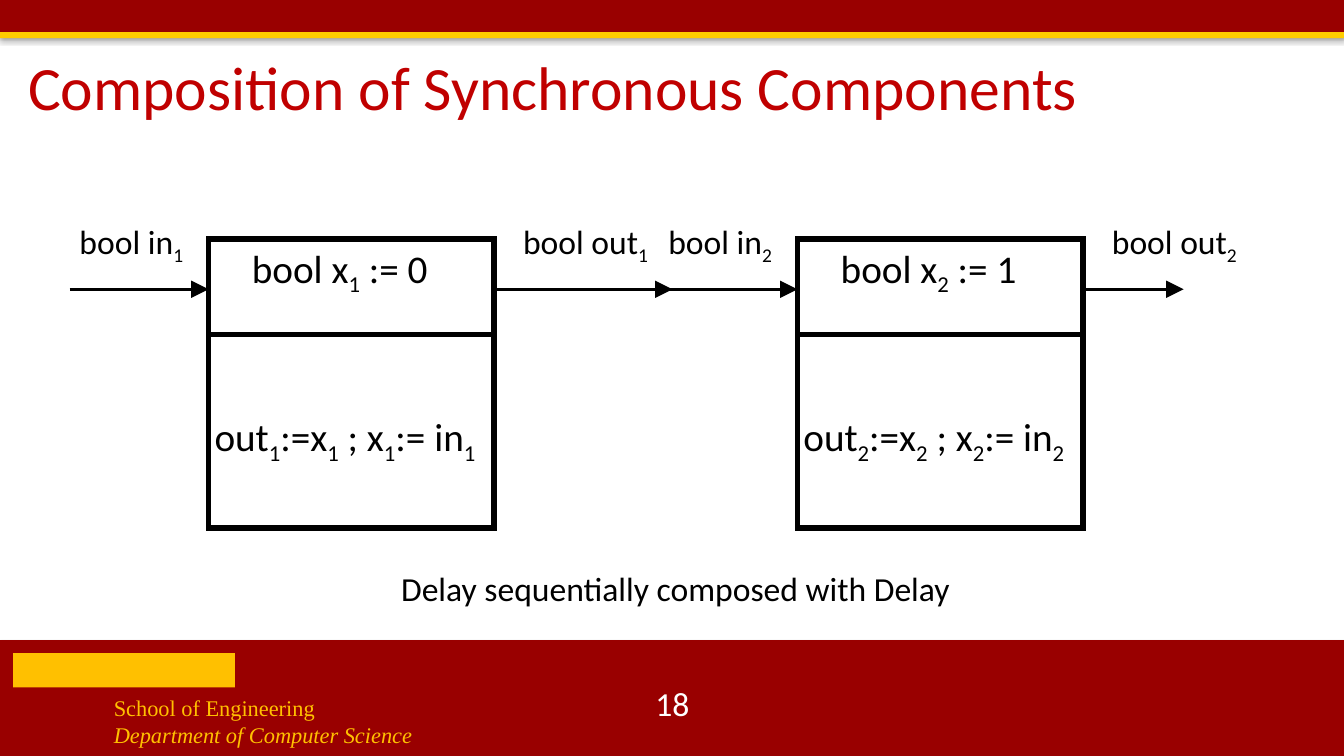
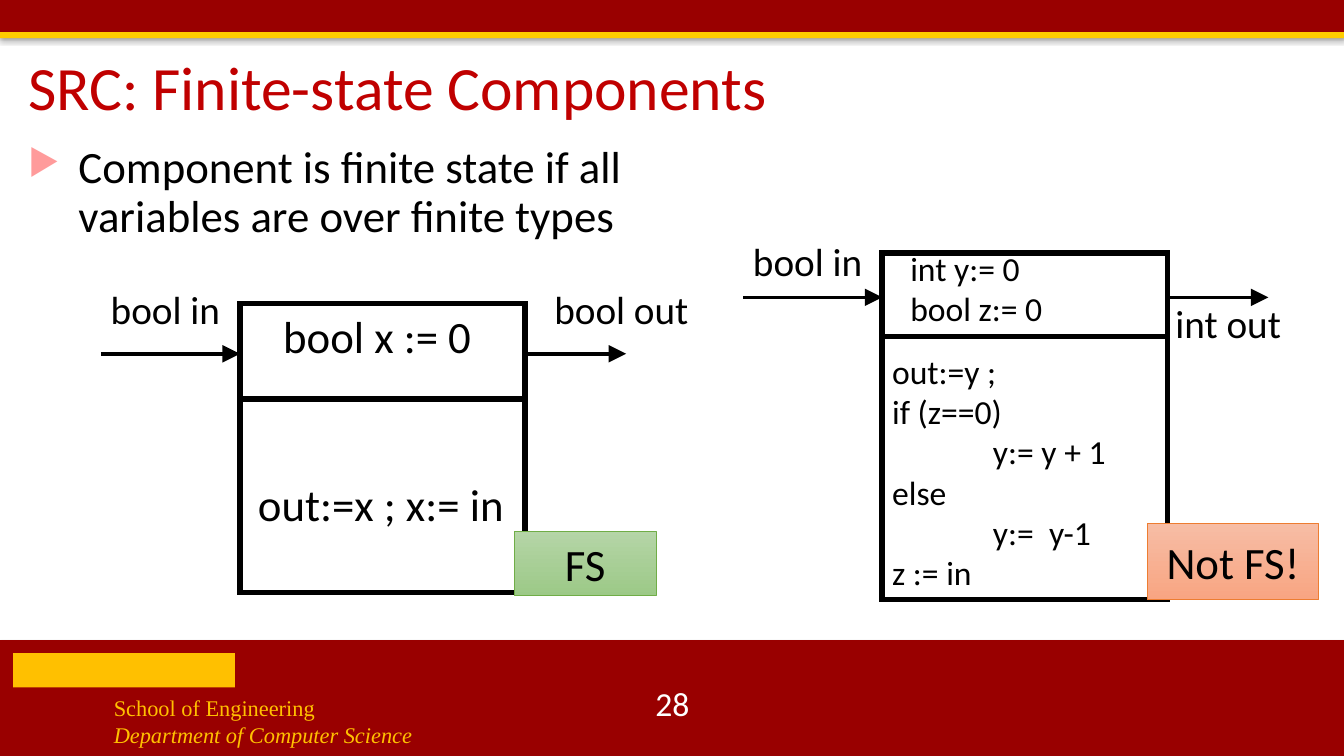
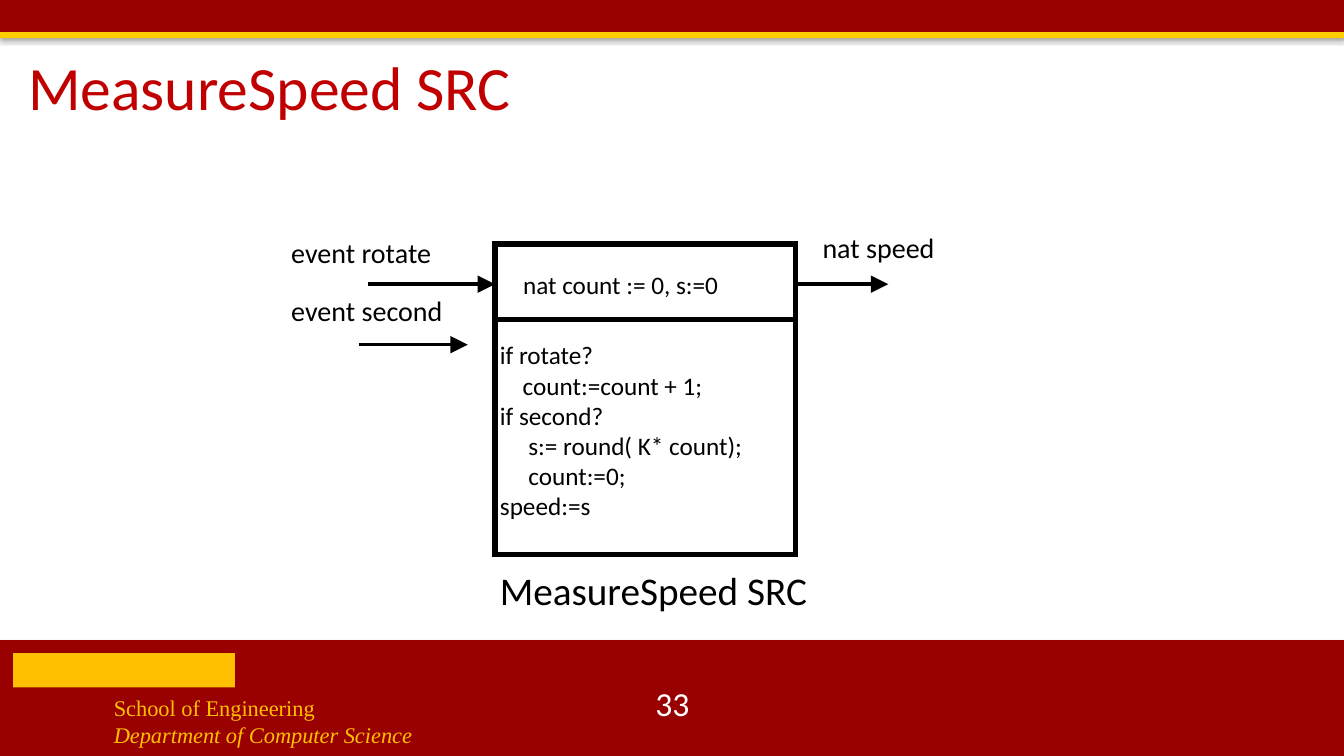
from lxml.etree import SubElement
from pptx import Presentation
from pptx.dml.color import RGBColor
from pptx.enum.shapes import MSO_CONNECTOR as Connector, MSO_SHAPE as Preset
from pptx.enum.text import MSO_ANCHOR as Anchor, MSO_AUTO_SIZE as AutoSize, PP_ALIGN as Align
from pptx.oxml.ns import qn
from pptx.util import Inches, Pt

CARDINAL = RGBColor(0x99, 0x00, 0x00)
GOLD = RGBColor(0xFF, 0xCC, 0x00)
FOOTER_GOLD = RGBColor(0xFF, 0xC0, 0x00)
TITLE_RED = RGBColor(0xC0, 0x00, 0x00)
BULLET_PINK = RGBColor(0xFF, 0x9B, 0x9B)
BLACK = RGBColor(0x00, 0x00, 0x00)
WHITE = RGBColor(0xFF, 0xFF, 0xFF)
GREEN = (RGBColor(0xB5, 0xD5, 0xA7), RGBColor(0x9C, 0xC9, 0x87), RGBColor(0x70, 0xAD, 0x47))
ORANGE = (RGBColor(0xF7, 0xBD, 0xA5), RGBColor(0xF8, 0xA5, 0x82), RGBColor(0xED, 0x7D, 0x31))

BODY_FONT = "Calibri"
FOOTER_FONT = "Times New Roman"
SLIDE_WIDTH, SLIDE_HEIGHT = 13.33, 7.5
BOX_LINE, WIRE_LINE = 4, 2.5


def add_run(paragraph, text, size, color=BLACK, font=BODY_FONT):
    run = paragraph.add_run()
    run.text = text
    run.font.size = Pt(size)
    run.font.name = font
    run.font.color.rgb = color
    return run


def add_marked_text(paragraph, text, size, color=BLACK):
    """Write text in which an underscore makes the next character a subscript."""
    plain, *marked = text.split("_")
    add_run(paragraph, plain, size, color)
    for piece in marked:
        subscript = add_run(paragraph, piece[0], size, color)
        subscript.font._element.set("baseline", "-25000")
        if piece[1:]:
            add_run(paragraph, piece[1:], size, color)


def set_indent(paragraph, left, first=0):
    properties = paragraph._p.get_or_add_pPr()
    properties.set("marL", str(Inches(left)))
    properties.set("indent", str(Inches(first)))


def add_text(slide, left, top, width, lines, size, color=BLACK, height=None,
             align=Align.LEFT, anchor=Anchor.TOP, wrap=False):
    """Add a text box; without a height it grows with its lines. A leading tab indents a line."""
    fitted = len(lines) * size * 1.22 / 72 + 0.1
    box = slide.shapes.add_textbox(Inches(left), Inches(top), Inches(width),
                                   Inches(height or fitted))
    frame = box.text_frame
    frame.word_wrap = wrap
    frame.auto_size = AutoSize.NONE if height else AutoSize.SHAPE_TO_FIT_TEXT
    frame.vertical_anchor = anchor
    for index, line in enumerate(lines):
        paragraph = frame.add_paragraph() if index else frame.paragraphs[0]
        paragraph.alignment = align
        if line.startswith("\t"):
            set_indent(paragraph, 1)
        add_marked_text(paragraph, line.lstrip("\t"), size, color)
    return frame


def add_rectangle(slide, left, top, width, height):
    shape = slide.shapes.add_shape(Preset.RECTANGLE, Inches(left), Inches(top),
                                   Inches(width), Inches(height))
    shape.shadow.inherit = False
    return shape


def add_solid(slide, left, top, width, height, color):
    """Add a filled rectangle without an outline."""
    shape = add_rectangle(slide, left, top, width, height)
    shape.fill.solid()
    shape.fill.fore_color.rgb = color
    shape.line.fill.background()
    return shape


def add_band(slide, top, height, color):
    """Add a full-width bar with a soft shadow below it."""
    band = add_solid(slide, 0, top, SLIDE_WIDTH, height, color)
    effects = band._element.spPr.find(qn("a:effectLst"))
    shadow = SubElement(effects, qn("a:outerShdw"), blurRad=str(Pt(3.1)),
                        dist=str(Pt(1.8)), dir="5400000", rotWithShape="0")
    shadow_color = SubElement(shadow, qn("a:srgbClr"), val=str(BLACK))
    SubElement(shadow_color, qn("a:alpha"), val="35000")


def add_line(slide, start, end, width, arrow=False):
    connector = slide.shapes.add_connector(
        Connector.STRAIGHT, *(Inches(value) for value in (*start, *end)))
    connector.line.color.rgb = BLACK
    connector.line.width = Pt(width)
    properties = connector._element.spPr
    if arrow:
        SubElement(properties.find(qn("a:ln")), qn("a:tailEnd"),
                   type="triangle", w="lg", len="lg")
    SubElement(properties, qn("a:effectLst"))


def add_wire(slide, left, top, length):
    add_line(slide, (left, top), (left + length, top), WIRE_LINE, arrow=True)


def add_component(slide, left, top, width, height, wire, divider, input_length, output_length):
    """Draw a two-part box with one wire in and one wire out; wire and divider count from top."""
    box = add_rectangle(slide, left, top, width, height)
    box.fill.background()
    box.line.color.rgb = BLACK
    box.line.width = Pt(BOX_LINE)
    SubElement(box._element.spPr.find(qn("a:ln")), qn("a:miter"), lim="800000")
    add_line(slide, (left, top + divider), (left + width, top + divider), BOX_LINE)
    add_wire(slide, left - input_length, top + wire, input_length)
    add_wire(slide, left + width, top + wire, output_length)


def add_delay(slide, left, top, labels, label_size, state, update, code_size,
              update_offset, output_length=1.0):
    """Draw a Delay component with its port labels and code."""
    add_component(slide, left, top, 2.83, 2.87, 0.5, 0.95, 1.38, output_length)
    for label, offset, width in zip(labels, (-1.38, 3.02), (1.4, 1.7)):
        add_text(slide, left + offset, top - 0.23, width, [label], label_size)
    add_text(slide, left + 0.33, top, 2.4, [state], code_size)
    add_text(slide, left + update_offset, top + 1.67, 2.9, [update], code_size)


def add_verdict(slide, left, top, width, height, text, colors):
    start, end, edge = colors
    shape = add_rectangle(slide, left, top, width, height)
    shape.fill.gradient()
    shape.fill.gradient_angle = 270
    for stop, color in zip(shape.fill.gradient_stops, (start, end)):
        stop.color.rgb = color
    shape.line.color.rgb = edge
    shape.line.width = Pt(0.5)
    shape.text_frame.vertical_anchor = Anchor.MIDDLE
    paragraph = shape.text_frame.paragraphs[0]
    paragraph.alignment = Align.CENTER
    add_run(paragraph, text, 32)


def add_bullet(slide, text):
    frame = add_text(slide, 0.18, 1.39, 6.4, [text], 32, height=1.31, wrap=True)
    paragraph = frame.paragraphs[0]
    set_indent(paragraph, 0.5, -0.5)
    properties = paragraph._p.get_or_add_pPr()
    bullet_color = SubElement(properties, qn("a:buClr"))
    SubElement(bullet_color, qn("a:srgbClr"), val=str(BULLET_PINK))
    SubElement(properties, qn("a:buSzPct"), val="80000")
    SubElement(properties, qn("a:buChar"), char="▶")
    paragraph.line_spacing = 0.9


def add_footer(slide, number):
    add_band(slide, 6.35, 1.15, CARDINAL)
    add_solid(slide, 0.13, 6.48, 2.2, 0.34, FOOTER_GOLD)
    box = slide.shapes.add_textbox(Inches(1.03), Inches(6.84), Inches(5.25), Inches(0.63))
    frame = box.text_frame
    frame.word_wrap = True
    school = frame.paragraphs[0]
    add_run(school, "School of Engineering", 16, FOOTER_GOLD, FOOTER_FONT)
    department = add_run(frame.add_paragraph(), "Department of Computer Science", 16,
                         FOOTER_GOLD, FOOTER_FONT)
    department.font.italic = True
    add_text(slide, 5.17, 6.78, 3, [str(number)], 24, WHITE, height=0.4,
             align=Align.CENTER, anchor=Anchor.MIDDLE, wrap=True)


def new_slide(presentation, title, number):
    slide = presentation.slides.add_slide(presentation.slide_layouts[6])
    add_footer(slide, number)
    add_band(slide, 0, 0.33, CARDINAL)
    add_band(slide, 0.32, 0.06, GOLD)
    frame = add_text(slide, 0.18, 0.47, 11.94, [title], 44, TITLE_RED, height=0.85,
                     anchor=Anchor.MIDDLE, wrap=True)
    frame.paragraphs[0].line_spacing = 0.9
    return slide


def build_composition(presentation):
    slide = new_slide(presentation, "Composition of Synchronous Components", 18)
    for index, left, start, output_length in ((1, 2.07, 0, 1.77), (2, 7.91, 1, 1.0)):
        add_delay(slide, left, 2.37, (f"bool in_{index}", f"bool out_{index}"), 24,
                  f"bool x_{index} := {start}",
                  f"out_{index}:=x_{index} ; x_{index}:= in_{index}", 28,
                  -0.04, output_length)
    add_text(slide, 3.6, 5.58, 6.2, ["Delay sequentially composed with Delay"], 24,
             align=Align.CENTER, wrap=True)


def build_finite_state(presentation):
    slide = new_slide(presentation, "SRC: Finite-state Components", 28)
    add_delay(slide, 2.38, 3.01, ("bool in", "bool out"), 28,
              "bool x := 0", "out:=x ; x:= in", 32, 0.08)
    add_component(slide, 8.75, 2.51, 2.83, 3.44, 0.44, 0.83, 1.38, 1.0)
    add_text(slide, 7.37, 2.3, 1.4, ["bool in"], 28)
    add_text(slide, 11.56, 2.92, 1.4, ["int out"], 28)
    add_text(slide, 8.93, 2.41, 2.35, ["int y:= 0", "bool z:= 0"], 24, wrap=True)
    add_text(slide, 8.75, 3.43, 2.34,
             ["out:=y ;", "if (z==0)", "\ty:= y + 1", "else", "\ty:=  y-1", "z := in"], 24)
    add_bullet(slide, "Component is finite state if all variables are over finite types")
    add_verdict(slide, 5.1, 5.27, 1.41, 0.64, "FS", GREEN)
    add_verdict(slide, 11.38, 5.19, 1.7, 0.76, "Not FS!", ORANGE)


def build_measure_speed(presentation):
    slide = new_slide(presentation, "MeasureSpeed SRC", 33)
    add_component(slide, 4.91, 2.42, 2.98, 3.08, 0.4, 0.75, 1.26, 0.92)
    add_wire(slide, 3.56, 3.42, 1.08)
    for left, top, width, label in ((2.79, 2.29, 1.95, "event rotate"),
                                    (2.79, 2.86, 1.72, "event second"),
                                    (8.06, 2.24, 1.56, "nat speed")):
        add_text(slide, left, top, width, [label], 20)
    add_text(slide, 5.09, 2.62, 2.55, ["nat count := 0, s:=0"], 18)
    add_text(slide, 4.86, 3.32, 3.11,
             ["if rotate?", "    count:=count + 1;", "if second?",
              "     s:= round( K* count);", "     count:=0;", "speed:=s"], 18)
    add_text(slide, 4.86, 5.57, 3.28, ["MeasureSpeed SRC"], 28)


def main():
    presentation = Presentation()
    presentation.slide_width = Inches(SLIDE_WIDTH)
    presentation.slide_height = Inches(SLIDE_HEIGHT)
    build_composition(presentation)
    build_finite_state(presentation)
    build_measure_speed(presentation)
    presentation.save("out.pptx")


if __name__ == "__main__":
    main()
